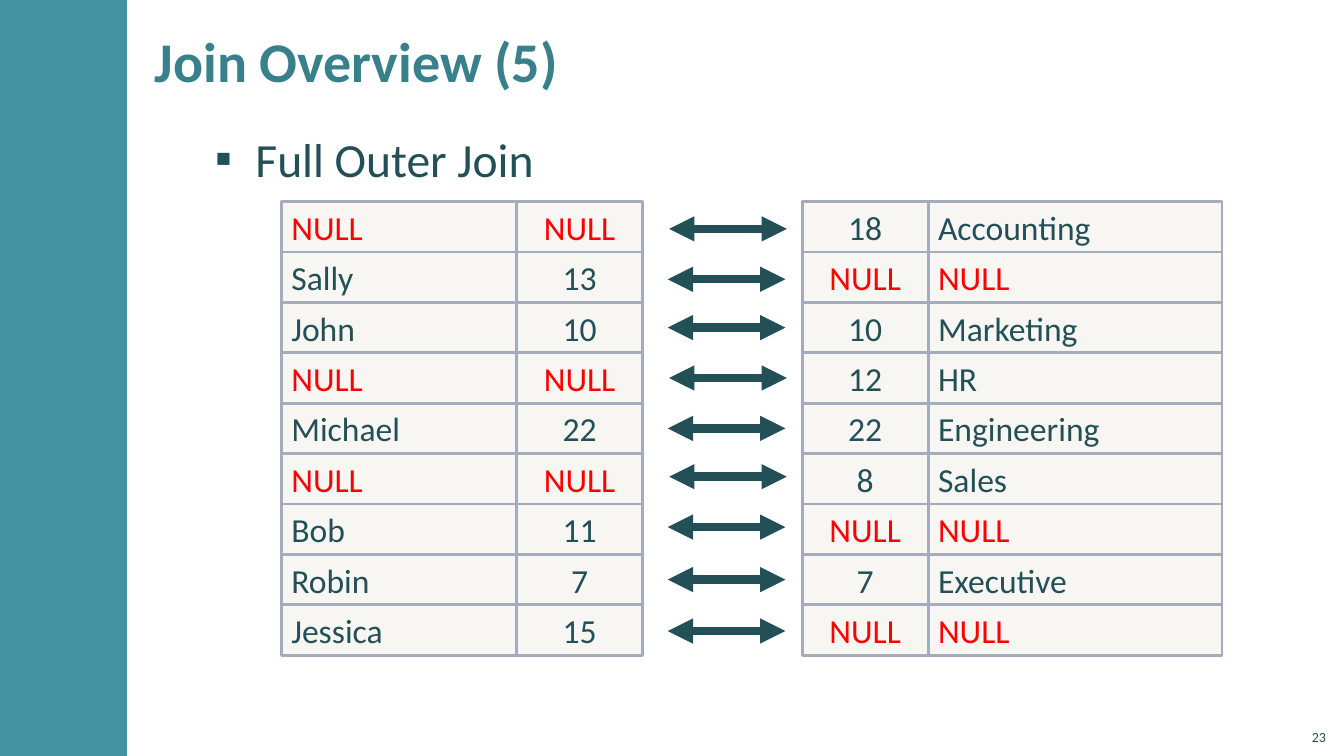
from dataclasses import dataclass

from lxml.etree import SubElement as Sub
from pptx import Presentation
from pptx.dml.color import RGBColor as RGB
from pptx.enum.shapes import MSO_CONNECTOR as LINK, MSO_SHAPE as SHAPE
from pptx.enum.text import MSO_ANCHOR as ANCHOR, MSO_AUTO_SIZE as FIT, PP_ALIGN as ALIGN
from pptx.oxml.ns import qn
from pptx.util import Pt


@dataclass(frozen=True)
class Theme:
    font: str = "Calibri"
    bar: str = "4193A1"
    head: str = "38808C"
    ink: str = "235057"
    null: str = "FF0000"
    cell: str = "D9D5C7"
    edge: str = "A3ABBC"
    big: int = 40
    mid: int = 34
    data: int = 24
    tiny: int = 10


THEME = Theme()
ROW = 36

# Matching rows of the two joined tables
STAFF = [
    ("NULL", "NULL"), ("Sally", "13"), ("John", "10"),
    ("NULL", "NULL"), ("Michael", "22"), ("NULL", "NULL"),
    ("Bob", "11"), ("Robin", "7"), ("Jessica", "15"),
]
DEPTS = [
    ("18", "Accounting"), ("NULL", "NULL"), ("10", "Marketing"),
    ("12", "HR"), ("22", "Engineering"), ("8", "Sales"),
    ("NULL", "NULL"), ("7", "Executive"), ("NULL", "NULL"),
]
# Vertical shift of each arrow from the middle of its row
DRIFT = (1.5, 1.5, 0, 0, 0, -1.5, -1.5, 0, 0.75)


def style(para, size, color, align=ALIGN.LEFT, bold=False):
    para.alignment = align
    for run in para.runs:
        font = run.font
        font.name, font.size, font.bold = THEME.font, Pt(size), bold
        font.color.rgb = RGB.from_string(color)


def frame(shape, text, anchor, side=7.2, end=3.6):
    body = shape.text_frame
    body.text = text
    body.word_wrap = True
    body.auto_size = FIT.NONE
    body.vertical_anchor = anchor
    body.margin_left = body.margin_right = Pt(side)
    body.margin_top = body.margin_bottom = Pt(end)
    return body.paragraphs[0]


def add_rect(slide, box, fill):
    rect = slide.shapes.add_shape(SHAPE.RECTANGLE, *map(Pt, box))
    rect.shadow.inherit = False
    rect.fill.solid()
    rect.fill.fore_color.rgb = RGB.from_string(fill)
    return rect


def add_bar(slide, box):
    add_rect(slide, box, THEME.bar).line.fill.background()


def add_title(slide, box, text):
    title = slide.shapes.title
    title.left, title.top, title.width, title.height = map(Pt, box)
    para = frame(title, text, ANCHOR.MIDDLE, 8.64, 2.88)
    style(para, THEME.big, THEME.head, bold=True)


def add_point(slide, box, text):
    area = slide.shapes.add_textbox(*map(Pt, box))
    para = frame(area, text, ANCHOR.TOP, 8.64, 2.88)
    style(para, THEME.mid, THEME.ink)
    para.line_spacing = 1.05
    para.space_before = para.space_after = Pt(6)
    # Square bullet with a hanging indent
    props = para._p.get_or_add_pPr()
    props.set("marL", str(Pt(28.8)))
    props.set("indent", str(-Pt(28.8)))
    Sub(props, qn("a:buFont"), typeface=THEME.font)
    Sub(props, qn("a:buChar"), char="▪")


def add_cell(slide, box, text, align):
    cell = add_rect(slide, box, THEME.cell)
    tint = cell._element.spPr.find(qn("a:solidFill"))[0]
    Sub(tint, qn("a:alpha"), val="20000")
    cell.line.width = Pt(2)
    cell.line.color.rgb = RGB.from_string(THEME.edge)
    color = THEME.null if text == "NULL" else THEME.ink
    style(frame(cell, text, ANCHOR.MIDDLE), THEME.data, color, align)


def add_grid(slide, spot, rows, widths, key):
    """Draw one grid of boxes; key is the column of centred join numbers."""
    x, y = spot
    for r, row in enumerate(rows):
        for c, text in enumerate(row):
            box = (x + sum(widths[:c]), y + r * ROW, widths[c], ROW)
            add_cell(slide, box, text, ALIGN.CENTER if c == key else ALIGN.LEFT)


def add_links(slide, box):
    """Draw one double arrow per row, set right where no person matches."""
    x, y, width, height = box
    step = height / len(STAFF)
    for i, (row, drift) in enumerate(zip(STAFF, DRIFT)):
        mid = Pt(y + step * (i + 0.5) + drift)
        start = x + (1 if row[0] == "NULL" else 0)
        link = slide.shapes.add_connector(
            LINK.STRAIGHT, Pt(start), mid, Pt(start + width), mid)
        link.line.width = Pt(6)
        link.line.color.rgb = RGB.from_string(THEME.ink)
        line = link._element.spPr.find(qn("a:ln"))
        for end in ("headEnd", "tailEnd"):
            Sub(line, qn(f"a:{end}"), type="triangle")
        Sub(link._element.spPr, qn("a:effectLst"))


def add_join(slide, box):
    x, y, width, height = box
    name, key, dept = 168, 90, 210
    left, right = name + key, key + dept
    gap = width - left - right
    add_grid(slide, (x, y), STAFF, (name, key), 1)
    add_grid(slide, (x + width - right, y), DEPTS, (key, dept), 0)
    add_links(slide, (x + left + 18, y, gap - 30, height))


def add_number(slide, box, text):
    area = slide.shapes.add_textbox(*map(Pt, box))
    style(frame(area, text, ANCHOR.BOTTOM), THEME.tiny, THEME.ink, ALIGN.RIGHT)


def main():
    deck = Presentation()
    deck.slide_width, deck.slide_height = Pt(960), Pt(540)
    slide = deck.slides.add_slide(deck.slide_layouts[5])
    add_bar(slide, (0, 0, 90.7, 540))
    add_title(slide, (102, 8, 672.5, 70), "Join Overview (5)")
    add_point(slide, (145, 88, 799, 415.5), "Full Outer Join")
    add_join(slide, (201, 144, 672, ROW * len(STAFF)))
    add_number(slide, (925.2, 512.8, 29, 23), "23")
    deck.save("out.pptx")


if __name__ == "__main__":
    main()
